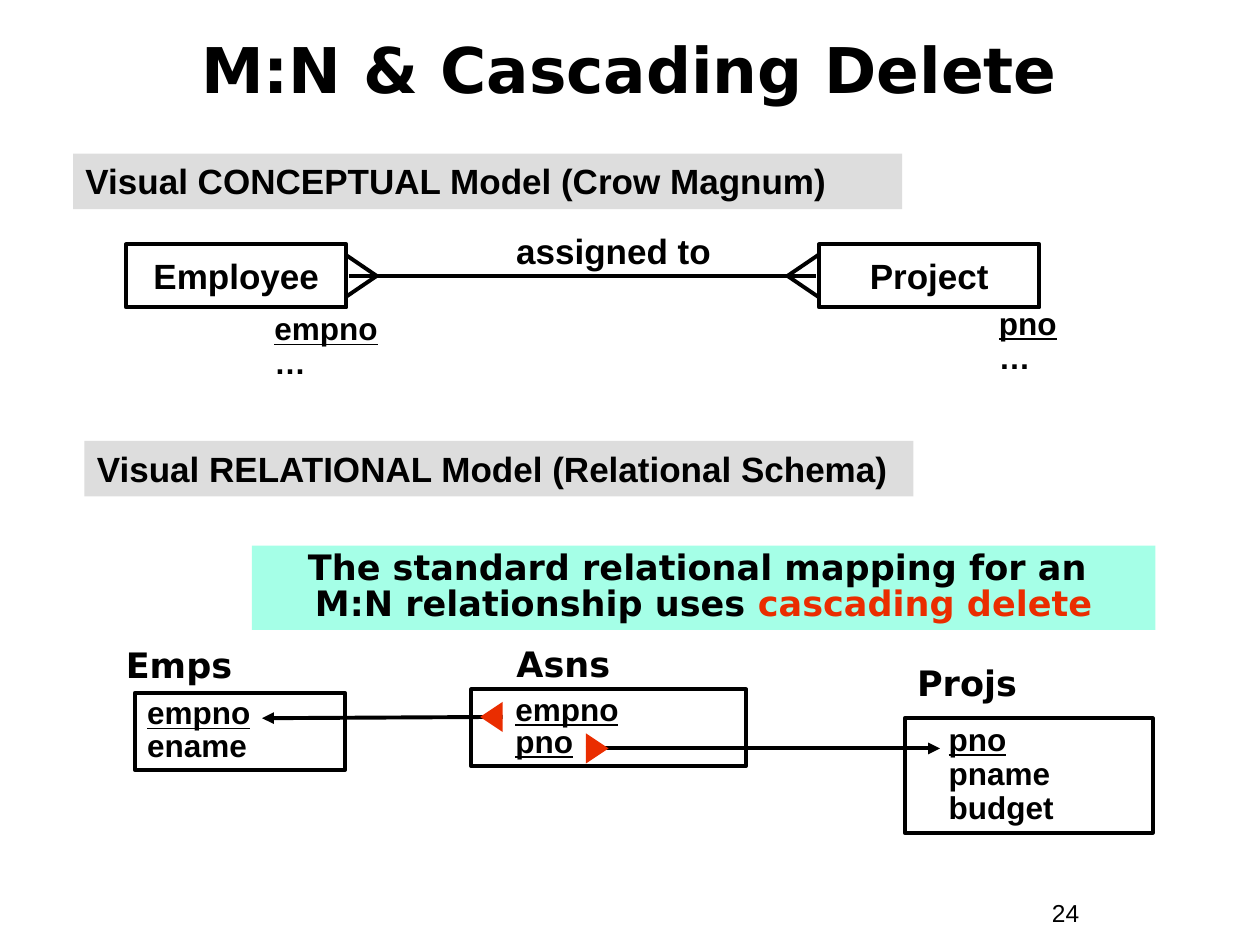
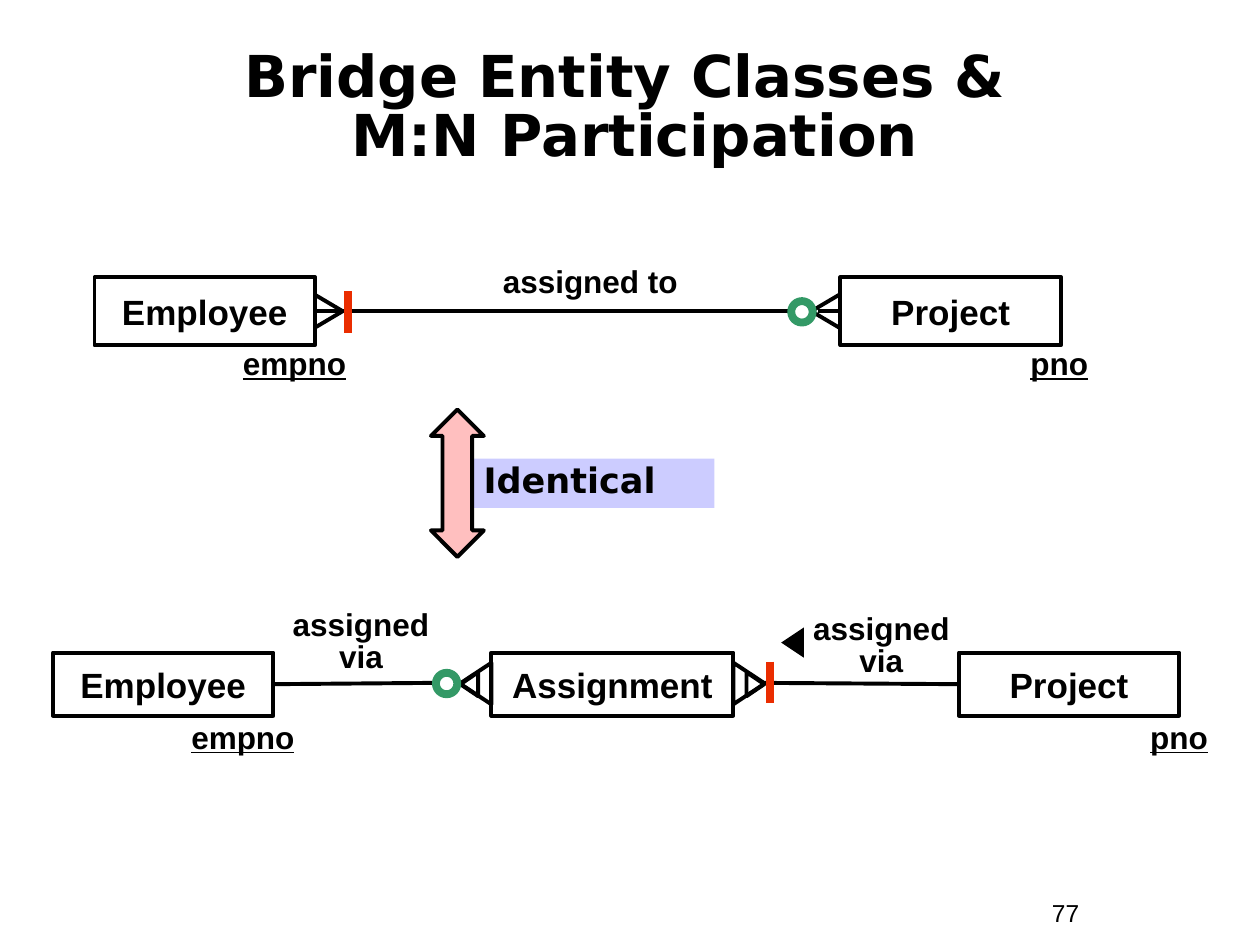
import pptx
import pptx.util
import pptx.dml.color
import pptx.enum.shapes
import pptx.enum.text
import pptx.oxml.xmlchemy
from lxml import etree
from pptx.oxml.ns import qn

Inches = pptx.util.Inches
Pt = pptx.util.Pt
RGBColor = pptx.dml.color.RGBColor
Shape = pptx.enum.shapes.MSO_SHAPE
Align = pptx.enum.text.PP_ALIGN
Anchor = pptx.enum.text.MSO_ANCHOR

BLACK = RGBColor(0x00, 0x00, 0x00)
RED = RGBColor(0xEA, 0x2D, 0x00)
GREEN = RGBColor(0x33, 0x99, 0x66)
GREY = RGBColor(0xDD, 0xDD, 0xDD)
MINT = RGBColor(0xA5, 0xFF, 0xE7)
LILAC = RGBColor(0xCC, 0xCC, 0xFF)
PINK = RGBColor(0xFF, 0xBF, 0xBF)

SANS = "Arial"
HEAD = "DejaVu Sans"
THIN, THICK = 2.25, 4.5
KEYS = ("empno", "pno")


def style(run, size, font, bold=True, color=BLACK):
    run.font.size = Pt(size)
    run.font.name = font
    run.font.bold = bold
    run.font.color.rgb = color
    if run.text in KEYS:
        run.font.underline = True


def write(shape, text, size, font=SANS, align=Align.LEFT, gap=1.0, bold=True):
    """Fill a shape with text, underlining the runs that are keys."""
    frame = shape.text_frame
    frame.word_wrap = True
    frame.vertical_anchor = Anchor.TOP
    frame.text = text
    for para in frame.paragraphs:
        para.alignment = align
        para.line_spacing = gap
        for run in para.runs:
            style(run, size, font, bold)
    return frame


def label(slide, at, text, size=18, **look):
    box = slide.shapes.add_textbox(*map(Inches, at))
    return write(box, text, size, **look)


def form(slide, kind, at, fill=None, line=None, width=THIN):
    shape = slide.shapes.add_shape(kind, *map(Inches, at))
    shape.shadow.inherit = False
    if fill is None:
        shape.fill.background()
    else:
        shape.fill.solid()
        shape.fill.fore_color.rgb = fill
    if line is None:
        shape.line.fill.background()
    else:
        shape.line.color.rgb = line
        shape.line.width = Pt(width)
    return shape


def band(slide, at, text, fill, **look):
    return write(form(slide, Shape.RECTANGLE, at, fill), text, 20, **look)


def entity(slide, at, name):
    frame = write(form(slide, Shape.RECTANGLE, at, line=BLACK), name, 20,
                  align=Align.CENTER)
    frame.word_wrap = False
    frame.vertical_anchor = Anchor.MIDDLE


def table_box(slide, at, cols, gap, inset=0.1):
    """Draw a relation as a box that lists its columns."""
    frame = write(form(slide, Shape.RECTANGLE, at, line=BLACK),
                  "\n".join(cols), 18, gap=gap)
    frame.margin_left = Inches(inset)


def link(slide, start, end, color=BLACK, width=THIN, arrow=False):
    line = slide.shapes.add_connector(
        pptx.enum.shapes.MSO_CONNECTOR.STRAIGHT, *map(Inches, start + end))
    line.line.color.rgb = color
    line.line.width = Pt(width)
    if arrow:
        tail = etree.SubElement(line.line._get_or_add_ln(), qn("a:tailEnd"))
        tail.set("type", "triangle")
    etree.SubElement(line._element.spPr, qn("a:effectLst"))


def foot(slide, tip, edge, y, half):
    """Draw the two outer toes of a crow's foot."""
    for toe in (y - half, y + half):
        link(slide, (tip, y), (edge, toe))


def wedge(slide, at, turn, fill=None, line=None):
    form(slide, Shape.ISOSCELES_TRIANGLE, at, fill, line).rotation = turn


def ring(slide, x, y):
    form(slide, Shape.OVAL, (x, y, 0.17, 0.17), line=GREEN, width=THICK)


def bar(slide, x, y):
    link(slide, (x, y), (x, y + 0.33), RED, THICK)


def page(deck, title, at, size, number, gap=1.0):
    slide = deck.slides.add_slide(deck.slide_layouts[6])
    head = label(slide, at, title, size, font=HEAD, align=Align.CENTER, gap=gap)
    head.vertical_anchor = Anchor.MIDDLE
    label(slide, (8.25, 7.08, 0.92, 0.34), number, 14, bold=False)
    return slide


def cascade(deck):
    slide = page(deck, "M:N & Cascading Delete", (0.33, 0.08, 9.33, 0.92), 36, "24")
    band(slide, (0.58, 1.22, 6.58, 0.44),
         "Visual CONCEPTUAL Model (Crow Magnum)", GREY)
    band(slide, (0.67, 3.5, 6.58, 0.44),
         "Visual RELATIONAL Model (Relational Schema)", GREY)

    for x, name in ((1, "Employee"), (6.5, "Project")):
        entity(slide, (x, 1.94, 1.75, 0.5), name)
    for x, y, key in ((2.08, 2.44, "empno"), (7.83, 2.4, "pno")):
        label(slide, (x, y, 1.17, 0.64), key + "\v…", gap=0.9)
    link(slide, (2.77, 2.19), (6.48, 2.19))
    foot(slide, 2.99, 2.74, 2.19, 0.17)
    foot(slide, 6.25, 6.5, 2.19, 0.17)
    label(slide, (3.83, 1.77, 2.08, 0.44), "assigned to", 20, align=Align.CENTER)

    note = band(slide, (2, 4.33, 7.17, 0.67),
                "The standard relational mapping for an \vM:N relationship uses ",
                MINT, font=HEAD, align=Align.CENTER, gap=0.85)
    run = note.paragraphs[0].add_run()
    run.text = "cascading delete"
    style(run, 20, HEAD, color=RED)

    for x, y, name in ((0.9, 5.06, "Emps"), (4, 5.05, "Asns"), (7.18, 5.2, "Projs")):
        label(slide, (x, y, 2.15, 0.44), name, 20, font=HEAD)
    table_box(slide, (1.07, 5.5, 1.67, 0.61), ("empno", "ename"), 0.85)
    table_box(slide, (3.74, 5.47, 2.18, 0.61), ("empno", "pno"), 0.85, 0.35)
    table_box(slide, (7.18, 5.7, 1.97, 0.91), ("pno", "pname", "budget"), 0.9, 0.35)
    link(slide, (3.99, 5.69), (2.08, 5.7), arrow=True)
    link(slide, (4.65, 5.94), (7.46, 5.94), arrow=True)
    wedge(slide, (3.78, 5.6, 0.24, 0.18), 270, RED)
    wedge(slide, (4.62, 5.85, 0.24, 0.18), 90, RED)


def bridge(deck):
    slide = page(deck, "Bridge Entity Classes & \vM:N Participation",
                 (0.33, 0.33, 9.42, 1.08), 33, "77", 0.85)

    for x, name in ((0.75, "Employee"), (6.67, "Project")):
        entity(slide, (x, 2.2, 1.75, 0.54), name)
    link(slide, (2.52, 2.47), (6.25, 2.47))
    link(slide, (6.49, 2.47), (6.65, 2.47))
    foot(slide, 2.72, 2.5, 2.47, 0.13)
    foot(slide, 6.44, 6.66, 2.47, 0.13)
    bar(slide, 2.76, 2.31)
    ring(slide, 6.28, 2.39)
    label(slide, (3.85, 2.08, 1.67, 0.36), "assigned to",
          align=Align.CENTER, gap=0.85)

    band(slide, (3.74, 3.64, 1.93, 0.39), "Identical", LILAC, font=HEAD, gap=0.85)
    arrow = form(slide, Shape.UP_DOWN_ARROW, (3.42, 3.25, 0.42, 1.17), PINK, BLACK)
    arrow.adjustments[0] = 0.5
    arrow.adjustments[1] = 0.56

    for x, wide, name in ((0.42, 1.75, "Employee"), (3.9, 1.92, "Assignment"),
                          (7.61, 1.75, "Project")):
        entity(slide, (x, 5.18, wide, 0.5), name)
    link(slide, (2.18, 5.43), (3.43, 5.42))
    link(slide, (7.6, 5.43), (6.07, 5.42))
    for x, y in ((2.2, 4.8), (6.33, 4.83)):
        label(slide, (x, y, 1.33, 0.61), "assigned via",
              align=Align.CENTER, gap=0.85)
    wedge(slide, (6.17, 5.01, 0.24, 0.18), 270, BLACK)
    for turn, big, small in ((270, 3.61, 3.63), (90, 5.78, 5.9)):
        wedge(slide, (big, 5.3, 0.33, 0.25), turn, line=BLACK)
        wedge(slide, (small, 5.36, 0.19, 0.14), turn, line=BLACK)
    ring(slide, 3.46, 5.34)
    bar(slide, 6.11, 5.25)

    for x, y, key, gap in ((1.83, 2.74, "empno", 0.8), (8.08, 2.74, "pno", 0.8),
                           (1.42, 5.68, "empno", 0.9), (9.03, 5.68, "pno", 0.9)):
        label(slide, (x, y, 1.14, 0.36), key, gap=gap)


def main():
    deck = pptx.Presentation()
    deck.slide_width = Inches(10)
    deck.slide_height = Inches(7.5)
    cascade(deck)
    bridge(deck)
    deck.save("out.pptx")


if __name__ == "__main__":
    main()
